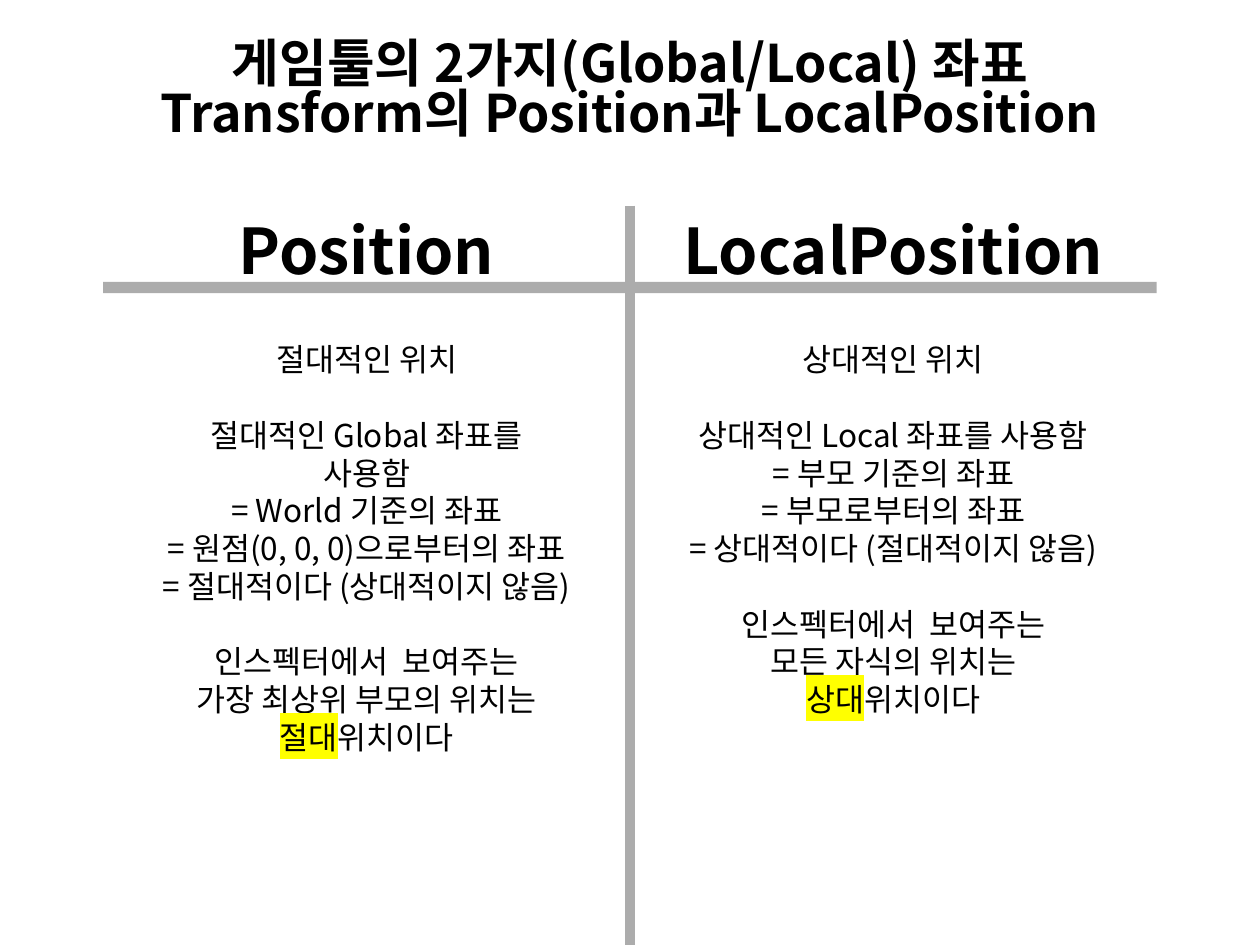
from lxml.etree import SubElement
from pptx import Presentation
from pptx.dml.color import RGBColor
from pptx.enum.shapes import MSO_CONNECTOR as Connector, MSO_SHAPE as Shape
from pptx.enum.text import MSO_ANCHOR as Anchor, MSO_AUTO_SIZE as AutoSize, PP_ALIGN as Align
from pptx.oxml import parse_xml
from pptx.oxml.ns import nsdecls, qn
from pptx.util import Pt

THEME = {
    "font": "Noto Sans CJK KR",
    "ink": RGBColor(0, 0, 0),
    "bar": RGBColor(0x80, 0x80, 0x80),
    "divider": RGBColor(0xAC, 0xAC, 0xAC),
    "highlight": "FFFF00",
    "headline": {"size": Pt(29.6), "bold": True},
    "heading": {"size": Pt(36), "bold": True},
    "body": {"size": Pt(18), "bold": False},
}


def write(holder, lines, style, anchor, spacing=None):
    frame = holder.text_frame
    frame_format = {"word_wrap": True, "auto_size": AutoSize.NONE, "vertical_anchor": anchor}
    for name, value in frame_format.items():
        setattr(frame, name, value)
    for index, (marked, plain, gap) in enumerate(lines):
        paragraph = frame.paragraphs[0] if index == 0 else frame.add_paragraph()
        paragraph_format = {"alignment": Align.CENTER, "line_spacing": spacing, "space_before": Pt(gap)}
        for name, value in paragraph_format.items():
            setattr(paragraph, name, value)
        for words in filter(None, (marked, plain)):
            run = paragraph.add_run()
            run.text = words
            run.font.color.rgb = THEME["ink"]
            for name, value in {"name": THEME["font"], **THEME[style]}.items():
                setattr(run.font, name, value)
            run.font._element.set("kern", "0")
            latin = run.font._element.find(qn("a:latin"))
            latin.addnext(parse_xml(f'<a:ea {nsdecls("a")} typeface="{THEME["font"]}"/>'))
            if words == marked:
                latin.addprevious(parse_xml(
                    f'<a:highlight {nsdecls("a")}><a:srgbClr val="{THEME["highlight"]}"/></a:highlight>'))


deck = Presentation()
deck.slide_width, deck.slide_height = Pt(720), Pt(540)
slide = deck.slides.add_slide(deck.slide_layouts[5])
shapes = slide.shapes

MARGIN, CENTER = 59, 360
COLUMN = CENTER - MARGIN
INSET = 22
GAP = 21.5

headline = shapes.title
place = {"left": MARGIN, "top": 15, "width": 2 * COLUMN, "height": 70}
for name, value in place.items():
    setattr(headline, name, Pt(value))
write(headline, [
    ("", "게임툴의 2가지(Global/Local) 좌표", 0),
    ("", "Transform의 Position과 LocalPosition", 0),
], "headline", Anchor.BOTTOM, 0.8)

bar = shapes.add_shape(Shape.RECTANGLE, Pt(MARGIN), Pt(161), Pt(2 * COLUMN), Pt(6.5))
bar.shadow.inherit = False
bar.line.fill.background()
bar.fill.solid()
bar.fill.fore_color.rgb = THEME["bar"]
bar_color = bar._element.spPr.find(qn("a:solidFill")).find(qn("a:srgbClr"))
SubElement(bar_color, qn("a:alpha"), val="65000")

divider = shapes.add_connector(Connector.STRAIGHT, Pt(CENTER), Pt(117.5), Pt(CENTER), Pt(540))
divider.line.color.rgb = THEME["divider"]
divider.line.width = Pt(6)
SubElement(divider._element.spPr, qn("a:effectLst"))

columns = [
    ("Position", [
        ("", "절대적인 위치", 0),
        ("", "절대적인 Global 좌표를", GAP),
        ("", "사용함", 0),
        ("", "= World 기준의 좌표", 0),
        ("", "= 원점(0, 0, 0)으로부터의 좌표", 0),
        ("", "= 절대적이다 (상대적이지 않음)", 0),
        ("", "인스펙터에서  보여주는", GAP),
        ("", "가장 최상위 부모의 위치는", 0),
        ("절대", "위치이다", 0),
    ]),
    ("LocalPosition", [
        ("", "상대적인 위치", 0),
        ("", "상대적인 Local 좌표를 사용함", GAP),
        ("", "= 부모 기준의 좌표", 0),
        ("", "= 부모로부터의 좌표", 0),
        ("", "= 상대적이다 (절대적이지 않음)", 0),
        ("", "인스펙터에서  보여주는", GAP),
        ("", "모든 자식의 위치는", 0),
        ("상대", "위치이다", 0),
    ]),
]
for index, (term, points) in enumerate(columns):
    left = MARGIN + index * COLUMN
    heading = shapes.add_textbox(Pt(left), Pt(117), Pt(COLUMN), Pt(51))
    write(heading, [("", term, 0)], "heading", Anchor.MIDDLE)
    description = shapes.add_textbox(Pt(left + INSET), Pt(191), Pt(COLUMN - 2 * INSET), Pt(247))
    write(description, points, "body", Anchor.TOP)

deck.save("out.pptx")
